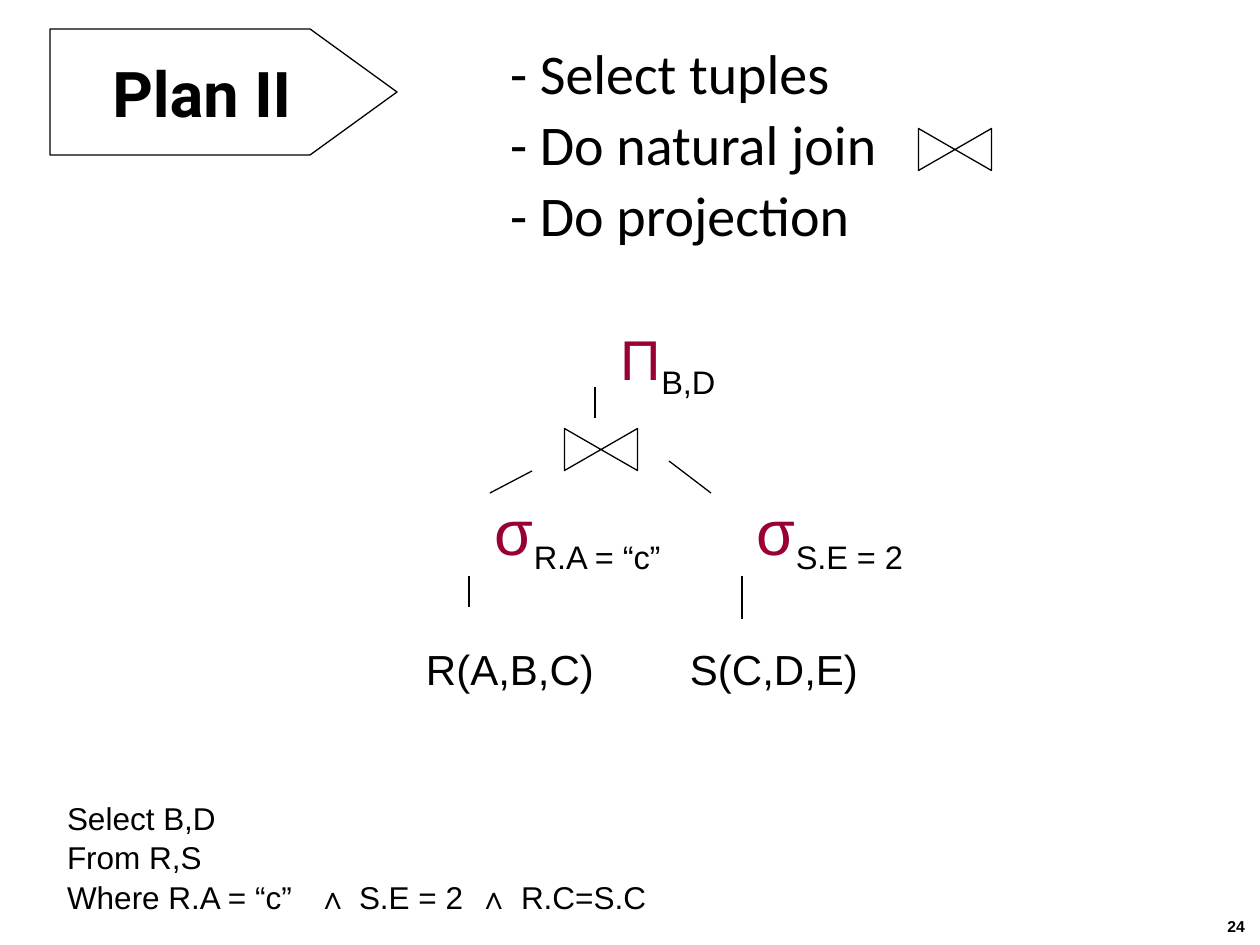
from lxml.etree import SubElement
from pptx import Presentation
from pptx.dml.color import RGBColor
from pptx.enum.shapes import MSO_CONNECTOR, MSO_SHAPE
from pptx.enum.text import MSO_ANCHOR, PP_ALIGN
from pptx.oxml.ns import qn
from pptx.util import Emu, Pt

BLACK, WHITE, CRIMSON = "000000", "FFFFFF", "990033"


def px(length):
    """Turn pixels into EMU."""
    return Emu(round(length * 914400 / 126))


def color(value):
    """Turn a hex string into a colour."""
    return RGBColor.from_string(value)


class PlanSlide:
    """Hold the style and the current slide."""

    font = "Arial"
    line_width = Pt(0.75)

    def __init__(self, page):
        """Keep the slide to draw on."""
        self.page = page

    def style(self, para, size, font=None, bold=False):
        """Set the font of a whole paragraph."""
        para.font.name = font or self.font
        para.font.size = Pt(size)
        para.font.bold = bold
        para.font.color.rgb = color(BLACK)

    def text(self, left, top, width, height, lines, size, font=None, bold=False,
             align=PP_ALIGN.LEFT, gap=0, spacing=None):
        """Add a text box with one paragraph for each line."""
        box = self.page.shapes.add_textbox(px(left), px(top), px(width), px(height))
        frame = box.text_frame
        frame.word_wrap = True
        frame.margin_left = frame.margin_right = 0
        frame.margin_top = frame.margin_bottom = 0
        for index, line in enumerate(lines):
            para = frame.paragraphs[0] if index == 0 else frame.add_paragraph()
            para.add_run().text = line
            para.alignment = align
            if index:
                para.space_before = Pt(gap)
                para.line_spacing = spacing
            self.style(para, size, font, bold)
        return frame

    def operator(self, left, top, symbol, size, subscript):
        """Add an algebra symbol with its subscript."""
        frame = self.text(left, top, 190, 75, [symbol], size)
        para = frame.paragraphs[0]
        para.runs[0].font.color.rgb = color(CRIMSON)
        span = para.add_run()
        span.text = subscript
        span.font.size = Pt(32)
        span.font._element.set("baseline", "-25000")

    def condition(self, para, pieces, stops, size):
        """Fill a paragraph with tabbed conditions and bold logic signs."""
        tabs = SubElement(para._p.get_or_add_pPr(), qn("a:tabLst"))
        for stop in stops:
            SubElement(tabs, qn("a:tab"), pos=str(px(stop)), algn="l")
        for index, piece in enumerate(pieces):
            span = para.add_run()
            span.text = "\t" + piece if index else piece
            if piece == "∧":
                span.font.bold = True
        self.style(para, size)

    def shape(self, kind, left, top, width, height):
        """Add a white outlined shape."""
        shape = self.page.shapes.add_shape(kind, px(left), px(top), px(width), px(height))
        shape.shadow.inherit = False
        shape.fill.solid()
        shape.fill.fore_color.rgb = color(WHITE)
        shape.line.color.rgb = color(BLACK)
        shape.line.width = self.line_width
        return shape

    def join(self, left, top):
        """Add a natural join sign."""
        self.shape(MSO_SHAPE.FLOWCHART_COLLATE, left, top, 42, 73).rotation = 270

    def title(self, left, top, width, height, words):
        """Add the pentagon title."""
        shape = self.shape(MSO_SHAPE.PENTAGON, left, top, width, height)
        shape.adjustments[0] = 0.69
        frame = shape.text_frame
        frame.word_wrap = False
        frame.vertical_anchor = MSO_ANCHOR.MIDDLE
        para = frame.paragraphs[0]
        para.text = words
        para.alignment = PP_ALIGN.CENTER
        self.style(para, 36, "Roboto", True)

    def branch(self, *ends):
        """Add a line of the plan tree."""
        line = self.page.shapes.add_connector(MSO_CONNECTOR.STRAIGHT, *map(px, ends))
        line.line.color.rgb = color(BLACK)
        line.line.width = self.line_width
        SubElement(line._element.spPr, qn("a:effectLst"))


def main():
    """Build the slide and save it."""
    deck = Presentation()
    deck.slide_width, deck.slide_height = px(1260), px(945)
    slide = PlanSlide(deck.slides.add_slide(deck.slide_layouts[6]))

    slide.title(50, 29, 347, 126, "Plan II")
    slide.text(510, 39, 400, 215,
               ["- Select tuples", "- Do natural join", "- Do projection"],
               32, "Calibri", gap=6, spacing=0.9)

    for left, top in ((934, 113), (580, 413)):
        slide.join(left, top)
    for ends in ((595, 387, 595, 418), (532, 471, 490, 493), (669, 461, 711, 493),
                 (469, 576, 469, 607), (742, 576, 742, 619)):
        slide.branch(*ends)

    slide.operator(621, 325, "Π", 32, "B,D")
    slide.operator(495, 493, "σ", 36, "R.A = “c”")
    slide.operator(757, 493, "σ", 36, "S.E = 2")
    for left, relation in ((426, "R(A,B,C)"), (690, "S(C,D,E)")):
        slide.text(left, 644, 200, 50, [relation], 24)

    query = slide.text(67, 799, 800, 115, ["Select B,D", "From R,S"], 18, gap=1)
    where = query.add_paragraph()
    where.space_before = Pt(1)
    slide.condition(where, ["Where R.A = “c”", "∧", "S.E = 2", "∧", "R.C=S.C"],
                    (250, 292, 411, 454), 18)
    slide.text(965, 917, 280, 20, ["24"], 9, bold=True, align=PP_ALIGN.RIGHT)

    deck.save("out.pptx")


if __name__ == "__main__":
    main()
